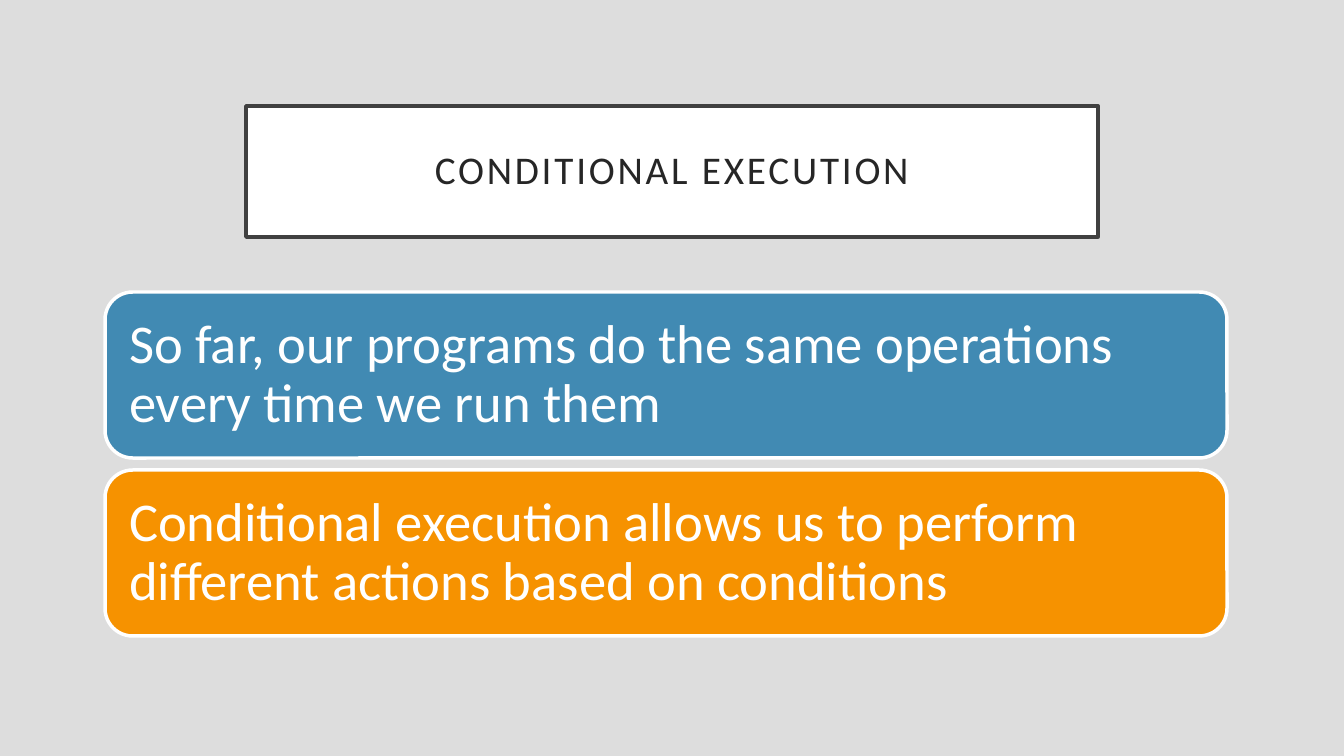
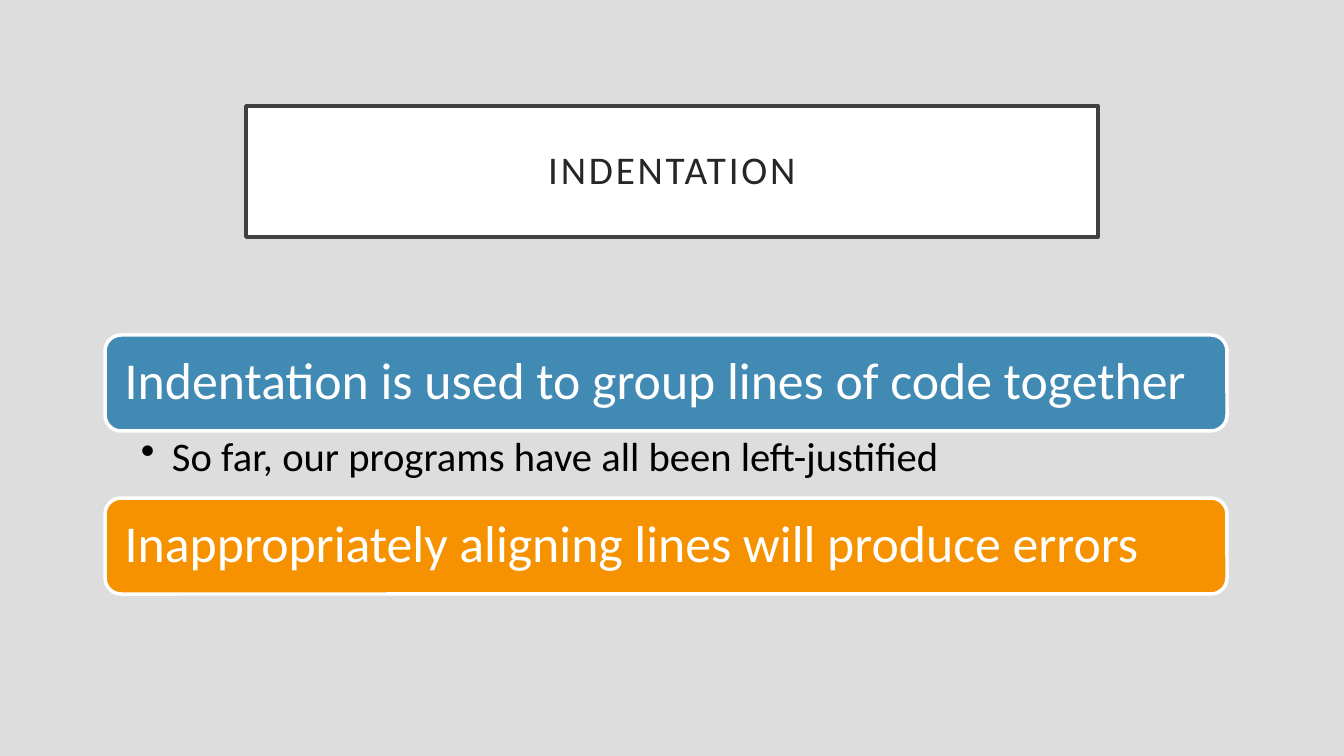
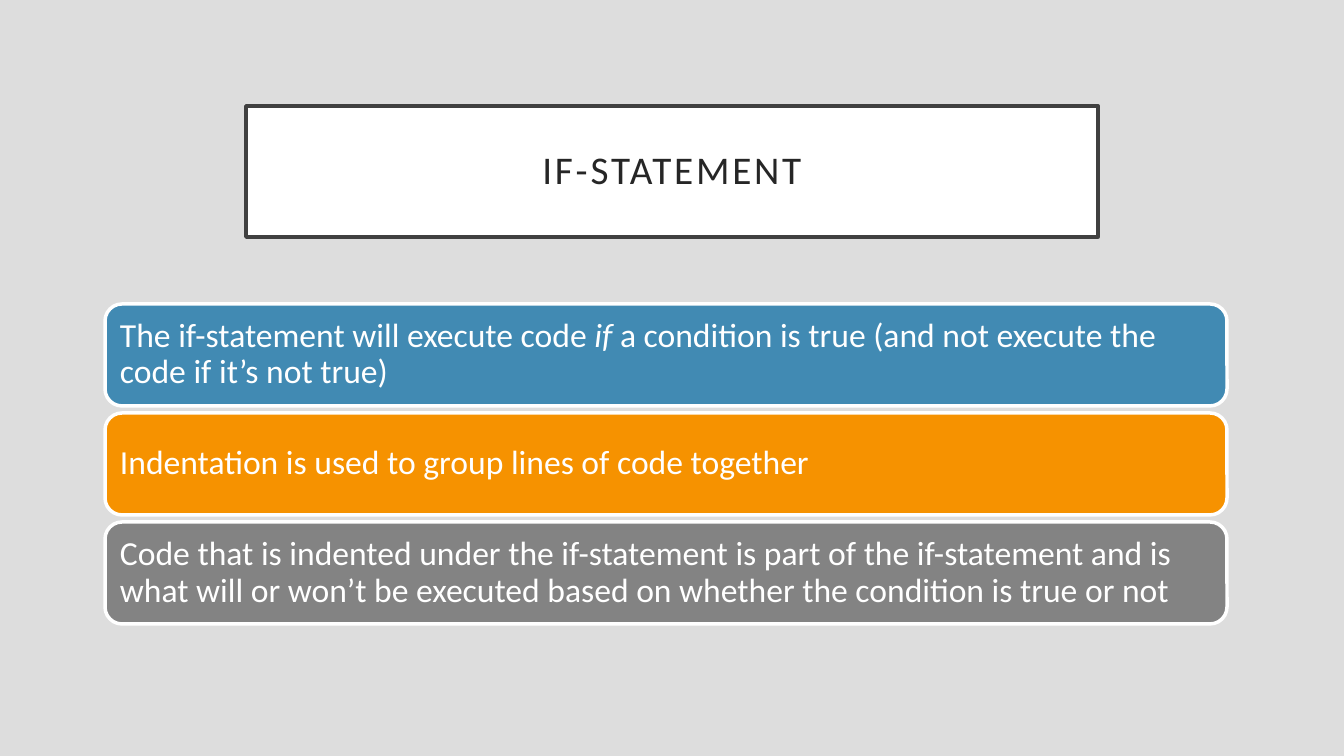
from lxml.etree import SubElement
from pptx import Presentation
from pptx.dml.color import RGBColor
from pptx.enum.shapes import MSO_SHAPE as Kind
from pptx.enum.text import MSO_ANCHOR as Anchor, PP_ALIGN as Align
from pptx.oxml.ns import qn
from pptx.util import Pt

WIDE, HIGH = 1344, 756
SCALE = 12192000 / WIDE
FONT = "Calibri"
GRAY = RGBColor(0xDD, 0xDD, 0xDD)
WHITE = RGBColor(0xFF, 0xFF, 0xFF)
BLACK = RGBColor(0x00, 0x00, 0x00)
FRAME = RGBColor(0x40, 0x40, 0x40)
INK = RGBColor(0x26, 0x26, 0x26)
FILLS = (
    RGBColor(0x41, 0x8A, 0xB3),
    RGBColor(0xF6, 0x92, 0x00),
    RGBColor(0x83, 0x83, 0x83),
)
LEFT, SPAN, MIDDLE = 105, 1122, 464
NOTE_HIGH = 67


def px(size):
    return round(size * SCALE)


def place(*box):
    return [px(size) for size in box]


def write(shape, text, size, color, pads, align=Align.LEFT, anchor=Anchor.MIDDLE):
    frame = shape.text_frame
    frame.word_wrap = True
    frame.vertical_anchor = anchor
    (frame.margin_left, frame.margin_top,
     frame.margin_right, frame.margin_bottom) = place(*pads)
    para = frame.paragraphs[0]
    para.alignment = align
    para.line_spacing = 0.9
    for index, part in enumerate(text.split("*")):
        run = para.add_run()
        run.text = part
        font = run.font
        font.name, font.size, font.color.rgb = FONT, Pt(size), color
        if index % 2:
            font.italic = True
    return para


def add_box(slide, kind, box, fill, edge):
    shape = slide.shapes.add_shape(kind, *place(*box))
    shape.shadow.inherit = False
    shape.fill.solid()
    shape.fill.fore_color.rgb = fill
    shape.line.color.rgb = edge
    shape.line.width = Pt(2.5)
    return shape


def add_title(slide, text):
    shape = add_box(slide, Kind.RECTANGLE, (246, 106, 852, 131), WHITE, FRAME)
    para = write(shape, text, 28, INK, [20] * 4, Align.CENTER)
    para.runs[0].font._element.set("spc", "200")


def add_bar(slide, text, top, high, fill, size, pad):
    box = (LEFT, top, SPAN, high)
    shape = add_box(slide, Kind.ROUNDED_RECTANGLE, box, fill, WHITE)
    write(shape, text, size, WHITE, [pad] * 4)


def add_note(slide, text, top):
    shape = slide.shapes.add_textbox(*place(LEFT, top, SPAN, NOTE_HIGH))
    para = write(shape, text, 29, BLACK, (36, 5, 29, 5), anchor=Anchor.TOP)
    props = para._p.get_or_add_pPr()
    props.set("marL", str(px(31)))
    props.set("indent", str(px(-31)))
    SubElement(props, qn("a:buChar")).set("char", "•")


def add_page(deck, title, bars, high, gap, size, pad, note=None):
    slide = deck.slides.add_slide(deck.slide_layouts[6])
    add_title(slide, title)
    total = len(bars) * (high + gap) - gap
    top = MIDDLE - total // 2
    for index, (text, fill) in enumerate(zip(bars, FILLS)):
        add_bar(slide, text, top + index * (high + gap), high, fill, size, pad)
    if note:
        add_note(slide, note, top + high)


def main():
    deck = Presentation()
    deck.slide_width, deck.slide_height = place(WIDE, HIGH)
    back = deck.slide_master.background.fill
    back.solid()
    back.fore_color.rgb = GRAY

    group = "Indentation is used to group lines of code together"
    add_page(deck, "CONDITIONAL EXECUTION", (
        "So far, our programs do the same operations every time we run them",
        "Conditional execution allows us to perform different actions "
        "based on conditions",
    ), high=166, gap=12, size=39, pad=16)
    add_page(deck, "INDENTATION", (
        group,
        "Inappropriately aligning lines will produce errors",
    ), high=96, gap=NOTE_HIGH, size=37, pad=15,
        note="So far, our programs have all been left-justified")
    add_page(deck, "IF-STATEMENT", (
        "The if-statement will execute code *if* a condition is true "
        "(and not execute the code if it’s not true)",
        group,
        "Code that is indented under the if-statement is part of the "
        "if-statement and is what will or won’t be executed based on "
        "whether the condition is true or not",
    ), high=102, gap=7, size=24, pad=10)
    deck.save("out.pptx")


main()
